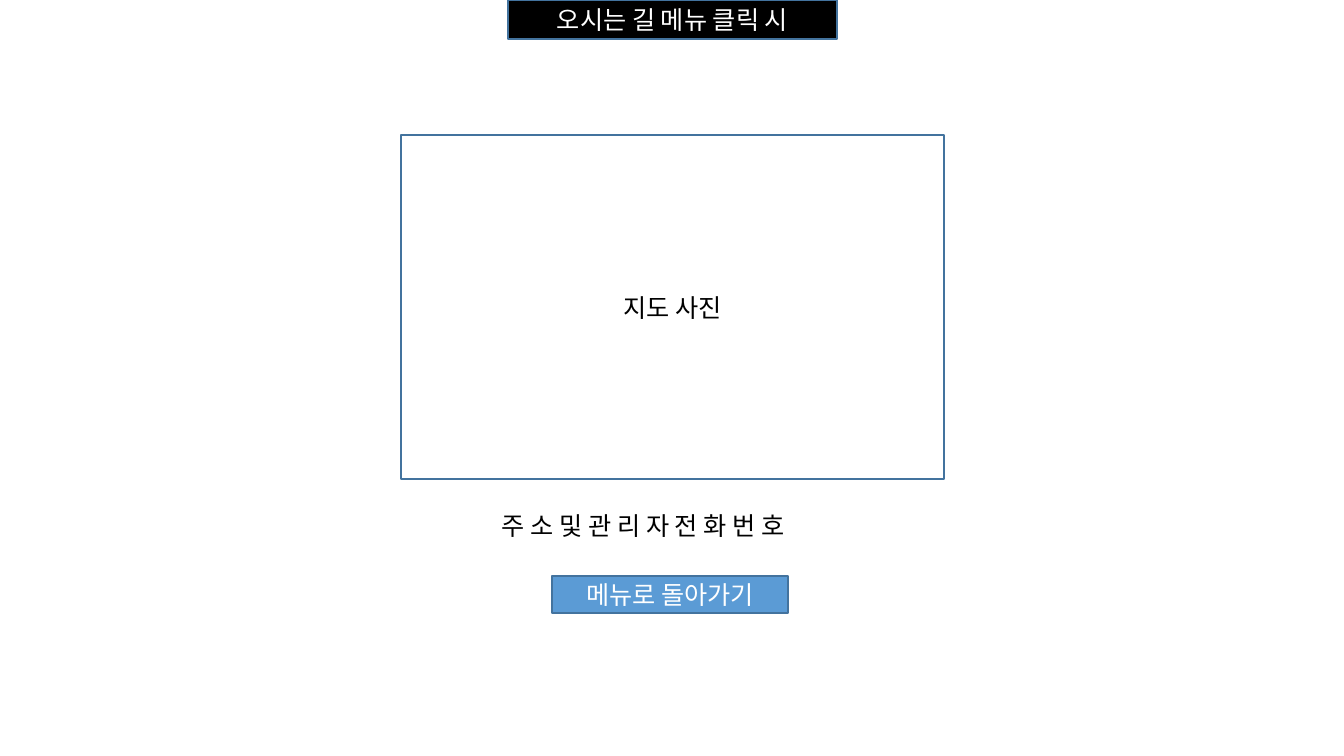
from dataclasses import dataclass

from lxml import etree
from pptx import Presentation
from pptx.dml.color import RGBColor
from pptx.enum.shapes import MSO_SHAPE
from pptx.enum.text import MSO_ANCHOR, MSO_AUTO_SIZE, PP_ALIGN
from pptx.oxml.ns import qn
from pptx.util import Emu, Pt

RECT = MSO_SHAPE.RECTANGLE
TOP, MIDDLE = MSO_ANCHOR.TOP, MSO_ANCHOR.MIDDLE
LEFT, CENTER = PP_ALIGN.LEFT, PP_ALIGN.CENTER
NO_FIT, GROW = MSO_AUTO_SIZE.NONE, MSO_AUTO_SIZE.SHAPE_TO_FIT_TEXT
PX = 914400 / 100.8
TITLE_ONLY = 5


@dataclass(frozen=True)
class Theme:
    """Colours, font and sizes of the slide."""
    font: str = "Noto Sans CJK KR"
    size: int = 18
    border_width: int = 1
    inset_x: int = 10
    inset_y: int = 5
    black: str = "000000"
    white: str = "FFFFFF"
    blue: str = "5B9BD5"
    border: str = "43739E"


def px(n):
    """Turn pixels into EMU."""
    return Emu(round(n * PX))


def write(s, text, *, theme, color, align=CENTER, anchor=MIDDLE, fit=NO_FIT):
    """Put one formatted paragraph into a shape."""
    tf = s.text_frame
    tf.word_wrap = True
    tf.auto_size = fit
    tf.vertical_anchor = anchor
    tf.margin_left = tf.margin_right = px(theme.inset_x)
    tf.margin_top = tf.margin_bottom = px(theme.inset_y)
    p = tf.paragraphs[0]
    p.alignment = align
    p.line_spacing = 1.0
    r = p.add_run()
    r.text = text
    r.font.name = theme.font
    r.font.size = Pt(theme.size)
    r.font.color.rgb = RGBColor.from_string(color)
    east_asian = etree.SubElement(r.font._element, qn("a:ea"))
    east_asian.set("typeface", theme.font)


class Page:
    """Hold the theme and the current slide."""

    def __init__(self, slide, theme):
        """Keep the slide and its theme."""
        self.slide, self.theme = slide, theme

    def paint(self, s, fill):
        """Fill a shape and give it the common border."""
        s.fill.solid()
        s.fill.fore_color.rgb = RGBColor.from_string(fill)
        s.line.color.rgb = RGBColor.from_string(self.theme.border)
        s.line.width = Pt(self.theme.border_width)

    def title(self, text, x, y, w, h, *, fill, color):
        """Place the title as a filled bar."""
        s = self.slide.shapes.title
        s.left, s.top, s.width, s.height = map(px, (x, y, w, h))
        self.paint(s, fill)
        write(s, text, theme=self.theme, color=color)

    def box(self, text, x, y, w, h, *, fill, color):
        """Add a bordered rectangle with centred text."""
        s = self.slide.shapes.add_shape(RECT, *map(px, (x, y, w, h)))
        s.shadow.inherit = False
        self.paint(s, fill)
        write(s, text, theme=self.theme, color=color)

    def label(self, text, x, y, w, h, *, color):
        """Add left-aligned plain text."""
        s = self.slide.shapes.add_textbox(*map(px, (x, y, w, h)))
        write(s, text, theme=self.theme, color=color,
              align=LEFT, anchor=TOP, fit=GROW)


def main():
    """Build the directions screen and save it."""
    prs = Presentation()
    prs.slide_width, prs.slide_height = px(1344), px(756)
    theme = Theme()
    page = Page(prs.slides.add_slide(prs.slide_layouts[TITLE_ONLY]), theme)

    page.title("오시는 길 메뉴 클릭 시", 508, 0, 329, 39,
               fill=theme.black, color=theme.white)
    page.box("지도 사진", 401, 135, 543, 344,
             fill=theme.white, color=theme.black)
    page.box("메뉴로 돌아가기", 552, 576, 236, 37,
             fill=theme.blue, color=theme.white)
    page.label("주 소 및 관 리 자 전 화 번 호", 492, 505, 359, 40,
               color=theme.black)

    prs.save("out.pptx")


main()
